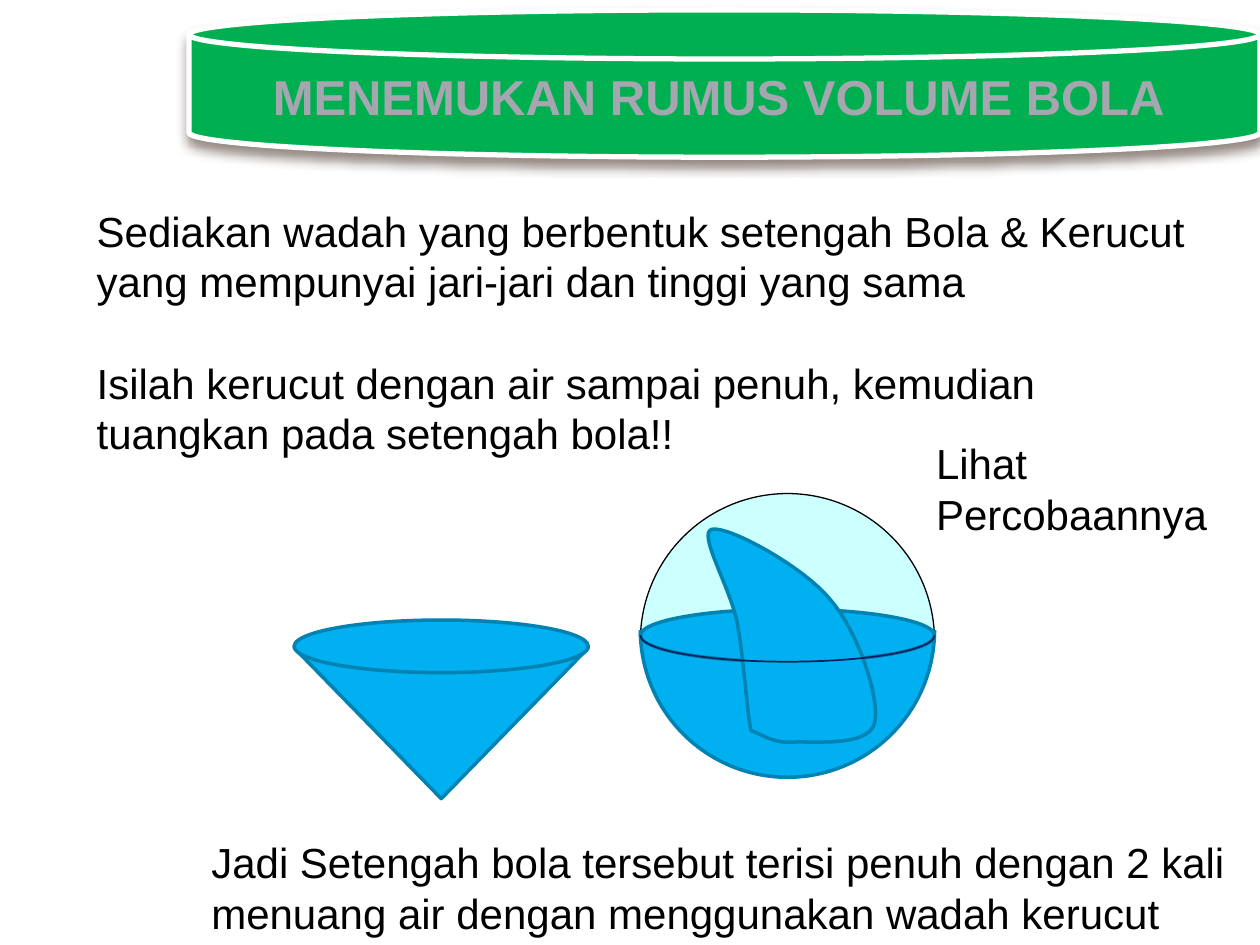
"""Build a slide on finding the volume formula of a sphere."""
from lxml import etree
from pptx import Presentation
from pptx.dml.color import RGBColor
from pptx.enum.shapes import MSO_SHAPE
from pptx.enum.text import MSO_ANCHOR, MSO_AUTO_SIZE, PP_ALIGN
from pptx.oxml.ns import qn
from pptx.util import Cm, Pt

DISK, ARC = MSO_SHAPE.FLOWCHART_MAGNETIC_DISK, MSO_SHAPE.ARC
OVAL, TRIANGLE = MSO_SHAPE.OVAL, MSO_SHAPE.ISOSCELES_TRIANGLE
MIDDLE, CENTER, NO_FIT = MSO_ANCHOR.MIDDLE, PP_ALIGN.CENTER, MSO_AUTO_SIZE.NONE

WHITE = RGBColor(0xFF, 0xFF, 0xFF)
BLACK = RGBColor(0x00, 0x00, 0x00)
GREEN = RGBColor(0x00, 0xB0, 0x50)
GREY = RGBColor(0xA6, 0xA6, 0xB0)
GLASS = RGBColor(0xCC, 0xFF, 0xFF)
WATER = RGBColor(0x00, 0xB0, 0xF0)
WATER_EDGE = RGBColor(0x00, 0x82, 0xB2)
NAVY = RGBColor(0x00, 0x20, 0x60)

TITLE_FONT = {"name": "Arial", "size": Pt(28), "bold": True}
BODY_FONT = {"name": "Arial", "size": Pt(24)}
LINE_PITCH = Pt(28.9)

DIAMETER, RIM_HEIGHT = 5.93, 1.06
BALL_LEFT, CONE_LEFT = 12.91, 5.93
LOWER_HALF, UPPER_HALF = (0, 180), (180, 0)

POUR_START = (15.14, 14.73)
POUR_CURVES = [
    ((15.06, 14.40), (14.99, 13.23), (14.86, 12.55)),
    ((14.73, 11.86), (14.05, 10.74), (14.35, 10.67)),
    ((14.68, 10.59), (16.21, 11.43), (16.74, 12.09)),
    ((17.30, 12.73), (17.75, 14.10), (17.63, 14.58)),
    ((17.50, 15.06), (16.41, 14.94), (15.98, 14.96)),
    ((15.57, 14.99), (15.32, 14.78), POUR_START),
]
INSTRUCTIONS = [
    "Sediakan wadah yang berbentuk setengah Bola & Kerucut "
    "yang mempunyai jari-jari dan tinggi yang sama",
    "Isilah kerucut dengan air sampai penuh, kemudian "
    "tuangkan pada setengah bola!!",
]
CONCLUSION = ("Jadi Setengah bola tersebut terisi penuh dengan 2 kali "
              "menuang air dengan menggunakan wadah kerucut")


def apply_format(target, values):
    """Set each format value on the target."""
    for name, value in values.items():
        setattr(target, name, value)


def paint(shape, fill=WATER, edge=WATER_EDGE, weight=2):
    """Give a shape its fill and outline, without a shadow."""
    shape.shadow.inherit = False
    if fill is None:
        shape.fill.background()
    else:
        shape.fill.solid()
        shape.fill.fore_color.rgb = fill
    shape.line.color.rgb = edge
    shape.line.width = Pt(weight)


def add_solid(slide, kind, left, top, width, height, **colours):
    """Add a painted preset shape."""
    solid = slide.shapes.add_shape(kind, Cm(left), Cm(top), Cm(width), Cm(height))
    paint(solid, **colours)
    return solid


def add_half(slide, top, height, angles, **colours):
    """Add half of an ellipse as wide as the ball, stroked on its curve only."""
    half = add_solid(slide, ARC, BALL_LEFT, top, DIAMETER, height, **colours)
    for index, degrees in enumerate(angles):
        half.adjustments[index] = degrees * 0.6


def cast_shadow(shape):
    """Drop a soft brown shadow below a shape."""
    effects = shape.element.spPr.find(qn("a:effectLst"))
    shadow = etree.SubElement(effects, qn("a:outerShdw"), blurRad=str(Pt(6)),
                              dist=str(Pt(4)), dir="5400000", rotWithShape="0")
    colour = etree.SubElement(shadow, qn("a:srgbClr"), val="4E3B30")
    etree.SubElement(colour, qn("a:alpha"), val="60000")


def add_banner(slide, text):
    """Add the green disk and set the title on its front."""
    title = slide.shapes.title
    disk = add_solid(slide, DISK, 3.81, 0.2, 21.59, 2.97,
                     fill=GREEN, edge=WHITE, weight=3)
    cast_shadow(disk)
    title.element.addprevious(disk.element)
    apply_format(title, {"left": Cm(3.81), "top": Cm(1.19),
                         "width": Cm(21.59), "height": Cm(1.49)})
    frame = title.text_frame
    frame.text = text
    apply_format(frame, {"vertical_anchor": MIDDLE, "auto_size": NO_FIT,
                         "word_wrap": True})
    heading = frame.paragraphs[0]
    heading.alignment = CENTER
    apply_format(heading.font, TITLE_FONT)
    heading.font.color.rgb = GREY


def add_text(slide, left, top, width, height, lines):
    """Add a wrapped text box with one line of space between paragraphs."""
    box = slide.shapes.add_textbox(Cm(left), Cm(top), Cm(width), Cm(height))
    frame = box.text_frame
    frame.word_wrap = True
    frame.text = "\n".join(lines)
    for index, paragraph in enumerate(frame.paragraphs):
        apply_format(paragraph, {"line_spacing": LINE_PITCH,
                                 "space_before": LINE_PITCH if index else Pt(0)})
        apply_format(paragraph.font, BODY_FONT)
        paragraph.font.color.rgb = BLACK


def curve_points(start, curves, steps=16):
    """Return points along a chain of cubic curves."""
    points = []
    for first, second, end in curves:
        corners = (start, first, second, end)
        for step in range(1, steps + 1):
            t = step / steps
            weights = ((1 - t) ** 3, 3 * t * (1 - t) ** 2, 3 * t * t * (1 - t), t ** 3)
            points.append(tuple(
                Cm(sum(w * corner[axis] for w, corner in zip(weights, corners)))
                for axis in (0, 1)))
        start = end
    return points


def add_pour(slide):
    """Add the water pouring into the bowl."""
    start_x, start_y = POUR_START
    builder = slide.shapes.build_freeform(Cm(start_x), Cm(start_y))
    builder.add_line_segments(curve_points(POUR_START, POUR_CURVES), close=True)
    paint(builder.convert_to_shape())


def add_ball(slide):
    """Add the glass dome above the bowl of water."""
    add_half(slide, 9.95, DIAMETER, UPPER_HALF, fill=GLASS, edge=BLACK, weight=0.75)
    add_half(slide, 9.74, DIAMETER, LOWER_HALF)
    add_solid(slide, OVAL, BALL_LEFT, 12.28, DIAMETER, RIM_HEIGHT)


def add_cone(slide):
    """Add the cone of water, point down."""
    cone = add_solid(slide, TRIANGLE, CONE_LEFT, 13.06, DIAMETER, 3.04)
    cone.rotation = 180
    add_solid(slide, OVAL, CONE_LEFT, 12.5, DIAMETER, RIM_HEIGHT)


def main():
    """Build and save the slide."""
    deck = Presentation()
    apply_format(deck, {"slide_width": Cm(25.4), "slide_height": Cm(19.05)})
    slide = deck.slides.add_slide(deck.slide_layouts[5])
    add_banner(slide, "MENEMUKAN RUMUS VOLUME BOLA ")
    add_ball(slide)
    add_cone(slide)
    add_pour(slide)
    add_half(slide, 12.28, RIM_HEIGHT, LOWER_HALF, fill=None, edge=NAVY, weight=1)
    add_text(slide, 1.7, 4.01, 23.06, 5.38, INSTRUCTIONS)
    add_text(slide, 18.62, 8.69, 6.78, 3.07, ["Lihat Percobaannya"])
    add_text(slide, 4.01, 16.74, 21.39, 2.31, [CONCLUSION])
    deck.save("out.pptx")


if __name__ == "__main__":
    main()
